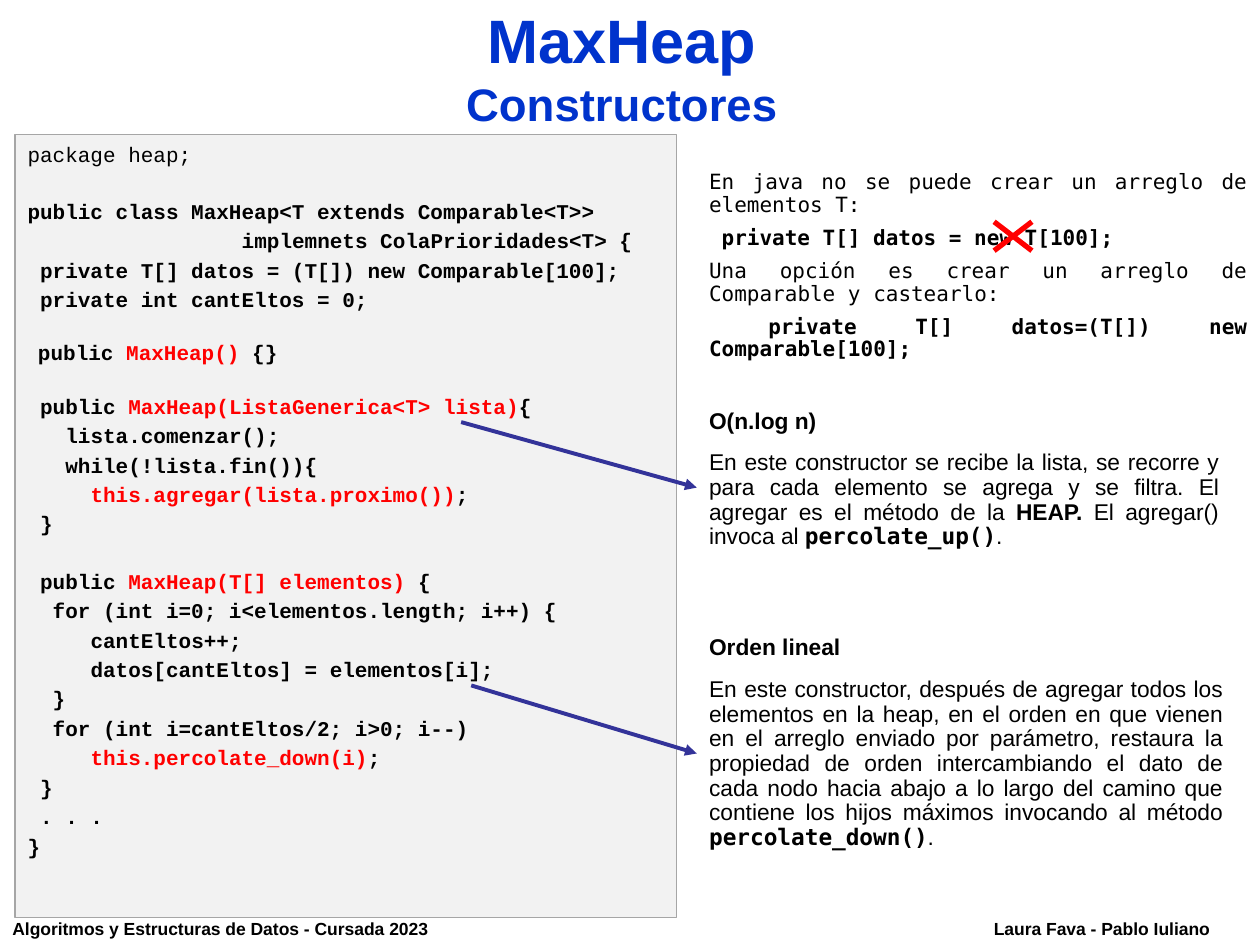
"""Build the MaxHeap constructors slide."""
from dataclasses import dataclass

from lxml import etree
from pptx import Presentation
from pptx.dml.color import RGBColor
from pptx.enum.shapes import MSO_CONNECTOR, MSO_SHAPE
from pptx.enum.text import MSO_ANCHOR, MSO_AUTO_SIZE, PP_ALIGN
from pptx.oxml.ns import qn
from pptx.util import Inches, Pt

STRAIGHT = MSO_CONNECTOR.STRAIGHT
RECTANGLE = MSO_SHAPE.RECTANGLE
LEFT, CENTER, RIGHT, JUSTIFY = PP_ALIGN.LEFT, PP_ALIGN.CENTER, PP_ALIGN.RIGHT, PP_ALIGN.JUSTIFY


@dataclass(frozen=True)
class Theme:
    """Fonts, colours, sizes in points and lengths in inches."""
    sans: str = "Arial"
    code: str = "Courier New"
    mono: str = "DejaVu Sans Mono"
    black: str = "000000"
    title: str = "0033CC"
    red: str = "FF0000"
    arrow: str = "333399"
    panel: str = "F2F2F2"
    border: str = "A6A6A6"
    title_sizes: tuple = (35, 26)
    code_size: int = 12
    prose_size: int = 13
    footer_size: int = 10
    line_gap: float = 2.4
    column: float = 0.1


THEME = Theme()
WIDTH, HEIGHT = 10, 7.5
NOTES_LEFT = 5.53
BLANK = 18.4

TITLE = ("MaxHeap", "Constructores")
FOOTER = (
    ("Algoritmos y Estructuras de Datos - Cursada 2023", 0, LEFT),
    ("Laura Fava - Pablo Iuliano", 4.7, RIGHT),
)

# Each code line: indent in columns, points before, text with |highlighted| parts.
CODE = [
    (0, 0, "package heap;"),
    (0, BLANK, "public class MaxHeap<T extends Comparable<T>>"),
    (17, None, "implemnets ColaPrioridades<T> {"),
    (1, None, "private T[] datos = (T[]) new Comparable[100];"),
    (1, None, "private int cantEltos = 0;"),
    (0.83, 16, "public |MaxHeap() |{}"),
    (1, 13.7 + THEME.line_gap, "public |MaxHeap(ListaGenerica<T> lista)|{"),
    (3, None, "lista.comenzar();"),
    (3, None, "while(!lista.fin()){"),
    (5, None, "|this.agregar(lista.proximo())|;"),
    (1, None, "}"),
    (1, BLANK, "public |MaxHeap(T[] elementos)| {"),
    (2, None, "for (int i=0; i<elementos.length; i++) {"),
    (5, None, "cantEltos++;"),
    (5, None, "datos[cantEltos] = elementos[i];"),
    (2, None, "}"),
    (2, None, "for (int i=cantEltos/2; i>0; i--)"),
    (5, None, "|this.percolate_down(i)|;"),
    (1, None, "}"),
    (1, None, ". . ."),
    (0, None, "}"),
]

ARRAY_NOTE = [
    ("En java no se puede crear un arreglo de elementos T:", False, 0),
    ("private T[] datos = new T[100];", True, 0.1),
    ("Una opción es crear un arreglo de Comparable y castearlo:", False, 0),
    ("private T[] datos=(T[]) new Comparable[100];", True, 0.47),
]

COST_NOTES = [
    ((3.2, 4.24, 1.33), "O(n.log n)", [
        ("En este constructor se recibe la lista, se recorre y para cada elemento "
         "se agrega y se filtra. El agregar es el método de la ", THEME.sans, False),
        ("HEAP. ", THEME.sans, True),
        ("El agregar() invoca al ", THEME.sans, False),
        ("percolate_up()", THEME.mono, True),
        (".", THEME.sans, False),
    ]),
    ((5, 4.27, 1.96), "Orden lineal", [
        ("En este constructor, después de agregar todos los elementos en la heap, "
         "en el orden en que vienen en el arreglo enviado por parámetro, restaura la "
         "propiedad de orden intercambiando el dato de cada nodo hacia abajo a lo largo "
         "del camino que contiene los hijos máximos invocando al método ", THEME.sans, False),
        ("percolate_down()", THEME.mono, True),
        (".", THEME.sans, False),
    ]),
]

CROSS = (7.89, 1.76, 8.19, 1.99)
ARROWS = [(3.66, 3.35, NOTES_LEFT, 3.87), (3.74, 5.44, NOTES_LEFT, 5.98)]


def color(value):
    """Return the RGB colour of a hex string."""
    return RGBColor.from_string(value)


def style(font, name, size, bold, fill=THEME.black):
    """Set every property of a font."""
    font.name, font.size, font.bold = name, Pt(size), bold
    font.color.rgb = color(fill)


def next_paragraph(frame, align, before=0, spacing=None, margin=0, first=0):
    """Return the empty first paragraph of a frame, or a new one."""
    paragraph = frame.paragraphs[0]
    if paragraph.runs:
        paragraph = frame.add_paragraph()
    paragraph.alignment = align
    paragraph.space_before = Pt(before)
    paragraph.line_spacing = spacing
    properties = paragraph._p.get_or_add_pPr()
    properties.set("marL", str(Inches(margin)))
    properties.set("indent", str(Inches(first)))
    return paragraph


def add_text_frame(slide, left, top, width, height):
    """Add a wrapping text box and return its frame."""
    box = slide.shapes.add_textbox(*map(Inches, (left, top, width, height)))
    box.text_frame.word_wrap = True
    return box.text_frame


def add_title(slide):
    """Place and format the title placeholder."""
    title = slide.shapes.title
    title.left, title.top, title.width, title.height = map(Inches, (2.4, 0.13, 5.07, 0.79))
    frame = title.text_frame
    frame.auto_size = MSO_AUTO_SIZE.NONE
    frame.vertical_anchor = MSO_ANCHOR.MIDDLE
    for text, size in zip(TITLE, THEME.title_sizes):
        paragraph = next_paragraph(frame, CENTER)
        paragraph.add_run().text = text
        style(paragraph.font, THEME.sans, size, True, THEME.title)


def add_code(slide):
    """Add the panel with the class listing."""
    panel = slide.shapes.add_shape(RECTANGLE, *map(Inches, (0.12, 1.07, 5.25, 6.21)))
    panel.shadow.inherit = False
    panel.fill.solid()
    panel.fill.fore_color.rgb = color(THEME.panel)
    panel.line.color.rgb = color(THEME.border)
    panel.line.width = Pt(0.75)
    frame = panel.text_frame
    frame.word_wrap = True
    frame.vertical_anchor = MSO_ANCHOR.TOP
    for row, (columns, before, text) in enumerate(CODE):
        gap = THEME.line_gap if before is None else before
        paragraph = next_paragraph(frame, JUSTIFY, gap, margin=columns * THEME.column)
        style(paragraph.font, THEME.code, THEME.code_size, row > 0)
        for part, piece in enumerate(text.split("|")):
            if piece:
                run = paragraph.add_run()
                run.text = piece
                run.font.color.rgb = color(THEME.red if part % 2 else THEME.black)


def add_notes(slide):
    """Add the explanations to the right of the listing."""
    frame = add_text_frame(slide, NOTES_LEFT, 1.31, 4.47, 1.69)
    for row, (text, bold, first) in enumerate(ARRAY_NOTE):
        paragraph = next_paragraph(frame, JUSTIFY, 6 if row else 0, 0.9, first=first)
        paragraph.add_run().text = text
        style(paragraph.font, THEME.mono, THEME.code_size, bold)
    for (top, width, height), heading, runs in COST_NOTES:
        frame = add_text_frame(slide, NOTES_LEFT, top, width, height)
        for before, pieces in ((0, [(heading, THEME.sans, True)]), (9.8, runs)):
            paragraph = next_paragraph(frame, JUSTIFY, before, 0.9)
            for text, name, bold in pieces:
                run = paragraph.add_run()
                run.text = text
                style(run.font, name, THEME.prose_size, bold)


def add_line(slide, ends, fill, width, arrow=False):
    """Add a straight line, with an arrowhead at its end if asked."""
    line = slide.shapes.add_connector(STRAIGHT, *map(Inches, ends))
    line.line.color.rgb = color(fill)
    line.line.width = Pt(width)
    if arrow:
        etree.SubElement(line.line._get_or_add_ln(), qn("a:tailEnd"), type="triangle")
    etree.SubElement(line._element.spPr, qn("a:effectLst"))


def main():
    """Build and save the presentation."""
    presentation = Presentation()
    presentation.slide_width, presentation.slide_height = Inches(WIDTH), Inches(HEIGHT)
    slide = presentation.slides.add_slide(presentation.slide_layouts[5])
    for text, left, align in FOOTER:
        paragraph = next_paragraph(add_text_frame(slide, left, 7.24, WIDTH / 2, 0.27), align)
        paragraph.add_run().text = text
        style(paragraph.font, THEME.sans, THEME.footer_size, True)
    add_title(slide)
    add_code(slide)
    add_notes(slide)
    left, top, right, bottom = CROSS
    for ends in ((right, top, left, bottom), (right, bottom, left, top)):
        add_line(slide, ends, THEME.red, 3)
    for ends in ARROWS:
        add_line(slide, ends, THEME.arrow, 2.25, arrow=True)
    presentation.save("out.pptx")


if __name__ == "__main__":
    main()
